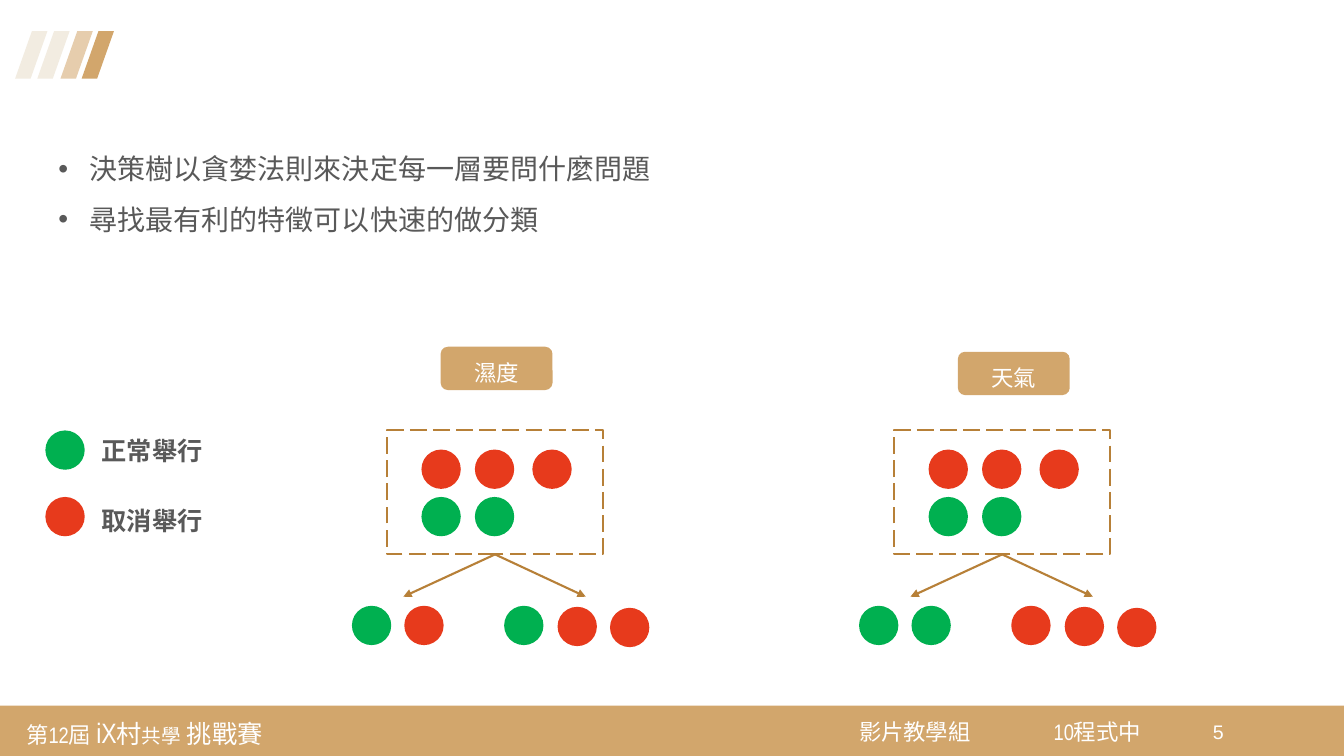
import pptx
import pptx.dml.color
import pptx.enum.dml
import pptx.enum.shapes
import pptx.enum.text
import pptx.oxml
import pptx.oxml.ns
import pptx.util
from pptx.util import Inches

GOLD, BROWN, WHITE, GREY = "D2A66C", "B78038", "FFFFFF", "595959"
GREEN, RED = "00B050", "E73A1C"
CJK = "Noto Sans CJK SC"
DOT = 0.39
color = pptx.dml.color.RGBColor.from_string
shapes_kind = pptx.enum.shapes.MSO_SHAPE
middle = pptx.enum.text.MSO_ANCHOR.MIDDLE

deck = pptx.Presentation()
deck.slide_width, deck.slide_height = Inches(13.33), Inches(7.5)
slide = deck.slides.add_slide(deck.slide_layouts[6])


def add_block(kind, left, top, width, height, fill):
    block = slide.shapes.add_shape(
        kind, Inches(left), Inches(top), Inches(width), Inches(height))
    block.shadow.inherit = False
    block.line.fill.background()
    if fill:
        block.fill.solid()
        block.fill.fore_color.rgb = color(fill)
    else:
        block.fill.background()
    return block


def add_run(paragraph, text, size, hue, face, bold=False):
    run = paragraph.add_run()
    run.text = text
    run.font.size = pptx.util.Pt(size)
    run.font.color.rgb = color(hue)
    run.font.name = face
    run.font.bold = bold
    east_asian = pptx.oxml.parse_xml(
        f'<a:ea {pptx.oxml.ns.nsdecls("a")} typeface="{CJK}"/>')
    run.font._element.append(east_asian)


# Footer band
add_block(shapes_kind.RECTANGLE, 0, 7, 13.33, 0.5, GOLD)
footer = [
    (0.18, 7.02, 2.83, 0.49, [("第12屆 ", 16), ("iX", 20), ("村", 18),
                              ("共學", 14), (" 挑戰賽", 18)]),
    (8.44, 7.04, 1.33, 0.43, [("影片教學組", 16)]),
    (10.37, 7.04, 1.33, 0.43, [("10程式中", 16)]),
]
for left, top, width, height, pieces in footer:
    note = slide.shapes.add_textbox(
        Inches(left), Inches(top), Inches(width), Inches(height)).text_frame
    note.word_wrap = True
    note.vertical_anchor = middle
    note.margin_left = note.margin_right = Inches(0.08)
    note.margin_top = note.margin_bottom = Inches(0.08)
    for text, size in pieces:
        add_run(note.paragraphs[0], text, size, WHITE, "Arial Narrow")

page_number = slide.shapes.add_textbox(
    Inches(11.93), Inches(7.09), Inches(0.42), Inches(0.41)).text_frame
page_number.word_wrap = True
add_run(page_number.paragraphs[0], "5", 14, WHITE, "Arial")

# Slanted stripes at the top left
for left, fill in [(0.81, GOLD), (0.6, "E6CDAD"), (0.37, "F2ECE1"), (0.15, "F2ECE1")]:
    stripe = add_block(shapes_kind.PARALLELOGRAM, left, 0.31, 0.32, 0.47, fill)
    stripe.adjustments[0] = 0.52

# Bulleted statements
statements = slide.shapes.add_textbox(
    Inches(0.48), Inches(1.29), Inches(6.13), Inches(1.05)).text_frame
statements.word_wrap = False
for index, text in enumerate(["決策樹以貪婪法則來決定每一層要問什麼問題",
                              "尋找最有利的特徵可以快速的做分類"]):
    statement = statements.add_paragraph() if index else statements.paragraphs[0]
    properties = statement._p.get_or_add_pPr()
    properties.set("marL", str(Inches(0.31)))
    properties.set("indent", str(Inches(-0.31)))
    for bullet in ('buFont {} typeface="Arial"', 'buChar {} char="•"'):
        properties.append(pptx.oxml.parse_xml(
            f'<a:{bullet.format(pptx.oxml.ns.nsdecls("a"))}/>'))
    statement.line_spacing = 1.5
    add_run(statement, text, 20, GREY, "Arial")

# Legend
for text, fill, dot_top, text_top in [("正常舉行", GREEN, 4.27, 4.27),
                                      ("取消舉行", RED, 4.93, 4.96)]:
    add_block(shapes_kind.OVAL, 0.45, dot_top, DOT, DOT, fill)
    meaning = slide.shapes.add_textbox(
        Inches(0.91), Inches(text_top), Inches(1.21), Inches(0.4)).text_frame
    meaning.word_wrap = False
    add_run(meaning.paragraphs[0], text, 18, GREY, "Arial", bold=True)

# One split per feature: question, samples, arrows, outcome groups
splits = [
    ("濕度", 3.84, 4.37, 3.44, [GREEN, RED, GREEN, RED, RED]),
    ("天氣", 8.87, 9.5, 3.49, [GREEN, GREEN, RED, RED, RED]),
]
for feature, left, label_left, label_top, outcomes in splits:
    label = add_block(shapes_kind.ROUNDED_RECTANGLE, label_left, label_top, 1.11, 0.43, GOLD)
    label.text_frame.vertical_anchor = middle
    question = label.text_frame.paragraphs[0]
    question.alignment = pptx.enum.text.PP_ALIGN.CENTER
    question.line_spacing = 1.3
    add_run(question, feature, 16, WHITE, CJK)

    samples = add_block(shapes_kind.RECTANGLE, left, 4.27, 2.14, 1.23, None)
    samples.line.color.rgb = color(BROWN)
    samples.line.width = pptx.util.Pt(1.5)
    samples.line.dash_style = pptx.enum.dml.MSO_LINE.LONG_DASH
    for top, fill, offsets in [(4.46, RED, [0.34, 0.87, 1.44]),
                               (4.93, GREEN, [0.34, 0.87])]:
        for offset in offsets:
            add_block(shapes_kind.OVAL, left + offset, top, DOT, DOT, fill)

    for end in (0.16, 1.97):
        arrow = slide.shapes.add_connector(
            pptx.enum.shapes.MSO_CONNECTOR.STRAIGHT,
            Inches(left + 1.07), Inches(5.5), Inches(left + end), Inches(5.92))
        arrow.line.color.rgb = color(BROWN)
        arrow.line.width = pptx.util.Pt(1.5)
        arrow.line._get_or_add_ln().append(pptx.oxml.parse_xml(
            f'<a:tailEnd {pptx.oxml.ns.nsdecls("a")} type="triangle"/>'))
        arrow._element.spPr.append(pptx.oxml.parse_xml(
            f'<a:effectLst {pptx.oxml.ns.nsdecls("a")}/>'))

    places = [(-0.35, 6.01), (0.17, 6.01), (1.16, 6.01), (1.69, 6.02), (2.21, 6.03)]
    for (offset, top), fill in zip(places, outcomes):
        add_block(shapes_kind.OVAL, left + offset, top, DOT, DOT, fill)

deck.save("out.pptx")
